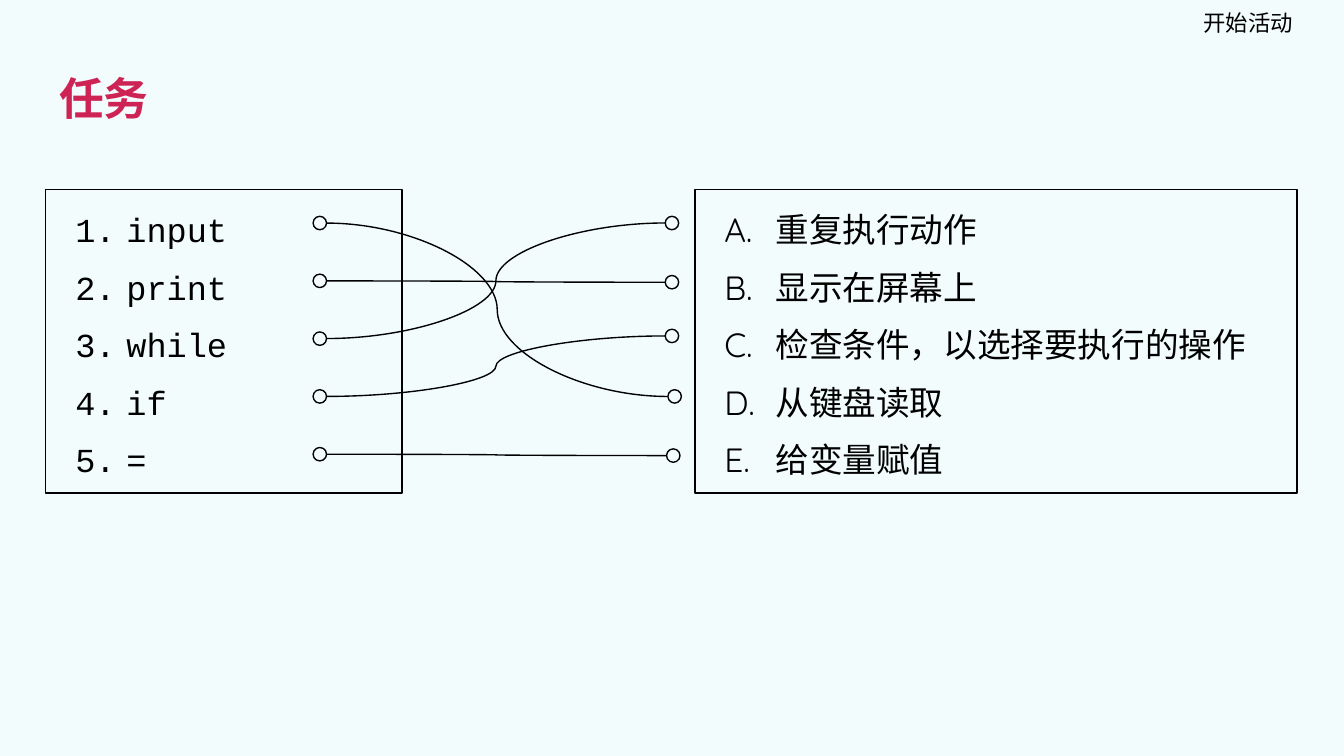
from pptx import Presentation
from pptx.dml.color import RGBColor
from pptx.enum.shapes import MSO_CONNECTOR, MSO_SHAPE
from pptx.enum.text import MSO_ANCHOR as ANCHOR, MSO_AUTO_SIZE as FIT, PP_ALIGN as ALIGN
from pptx.oxml.ns import qn
from pptx.util import Inches, Pt
from lxml.etree import SubElement


def rgb(h):
    return RGBColor.from_string(h)


def add_run(p, text, size, font, color="000000", bold=False):
    r = p.add_run()
    r.text = text
    r.font.size = Pt(size)
    r.font.bold = bold
    r.font.color.rgb = rgb(color)
    r.font.name = font
    SubElement(r.font._element, qn("a:ea"), typeface=font)


prs = Presentation()
prs.slide_width = Inches(10)
prs.slide_height = Inches(10 * 9 / 16)
s = prs.slides.add_slide(prs.slide_layouts[3])
s.background.fill.solid()
s.background.fill.fore_color.rgb = rgb("F2FCFC")
title, left_list, right_list = s.placeholders
header = s.shapes.add_textbox(0, 0, 0, 0)

frames = [
    (header, 7.48, 0, 2.14, 0.34, 0, ANCHOR.MIDDLE),
    (title, 0.34, 0.34, 9.32, 0.77, 0.1, ANCHOR.MIDDLE),
    (right_list, 5.17, 1.41, 4.48, 2.26, 0.06, ANCHOR.TOP),
    (left_list, 0.34, 1.41, 2.65, 2.26, 0.06, ANCHOR.TOP),
]
for sp, x, y, w, h, right, anchor in frames:
    sp.left, sp.top, sp.width, sp.height = map(Inches, (x, y, w, h))
    tf = sp.text_frame
    tf.word_wrap = True
    tf.auto_size = FIT.NONE
    tf.vertical_anchor = anchor
    tf.margin_left = tf.margin_top = tf.margin_bottom = Inches(0.1)
    tf.margin_right = Inches(right)

p = header.text_frame.paragraphs[0]
p.alignment = ALIGN.RIGHT
add_run(p, "开始活动", 12, "Quicksand")
p = title.text_frame.paragraphs[0]
p.alignment = ALIGN.LEFT
add_run(p, "任务", 24, "Quicksand", "CD2355", True)

keywords = ["input", "print", "while", "if", "="]
meanings = ["重复执行动作", "显示在屏幕上", "检查条件，以选择要执行的操作", "从键盘读取", "给变量赋值"]
lists = [
    (left_list, keywords, "Courier New", "arabicPeriod"),
    (right_list, meanings, "Quicksand", "alphaUcPeriod"),
]
for sp, items, font, numbering in lists:
    sp.line.color.rgb = rgb("000000")
    sp.line.width = Pt(0.75)
    tf = sp.text_frame
    for i, item in enumerate(items):
        p = tf.add_paragraph() if i else tf.paragraphs[0]
        p.alignment = ALIGN.LEFT
        p.line_spacing = 1.15
        p.space_before = Pt(6 if i else 0)
        p.space_after = Pt(6 if i == len(items) - 1 else 0)
        pPr = p._p.get_or_add_pPr()
        pPr.set("marL", str(Inches(0.5)))
        pPr.set("indent", str(Inches(-0.38)))
        SubElement(SubElement(pPr, qn("a:buClr")), qn("a:srgbClr"), val="000000")
        SubElement(pPr, qn("a:buFontTx"))
        SubElement(pPr, qn("a:buAutoNum"), type=numbering)
        add_run(p, item, 18, font)

DOT = 0.1
starts = [(2.33, 1.61 + 0.43 * i) for i in range(5)]
ends = [(4.95, 1.61), (4.95, 2.05), (4.95, 2.45), (4.97, 2.9), (4.96, 3.34)]
for x, y in starts + ends:
    sp = s.shapes.add_shape(MSO_SHAPE.OVAL, Inches(x), Inches(y), Inches(DOT), Inches(DOT))
    sp.shadow.inherit = False
    sp.fill.background()
    sp.line.color.rgb = rgb("000000")
    sp.line.width = Pt(0.75)

answers = [3, 1, 0, 2, 4]
for (x1, y1), answer in zip(starts, answers):
    x2, y2 = ends[answer]
    link = s.shapes.add_connector(
        MSO_CONNECTOR.CURVE,
        Inches(x1 + DOT), Inches(y1 + DOT / 2), Inches(x2), Inches(y2 + DOT / 2))
    link.line.color.rgb = rgb("000000")
    link.line.width = Pt(0.75)
    SubElement(link._element.spPr, qn("a:effectLst"))

prs.save("out.pptx")
